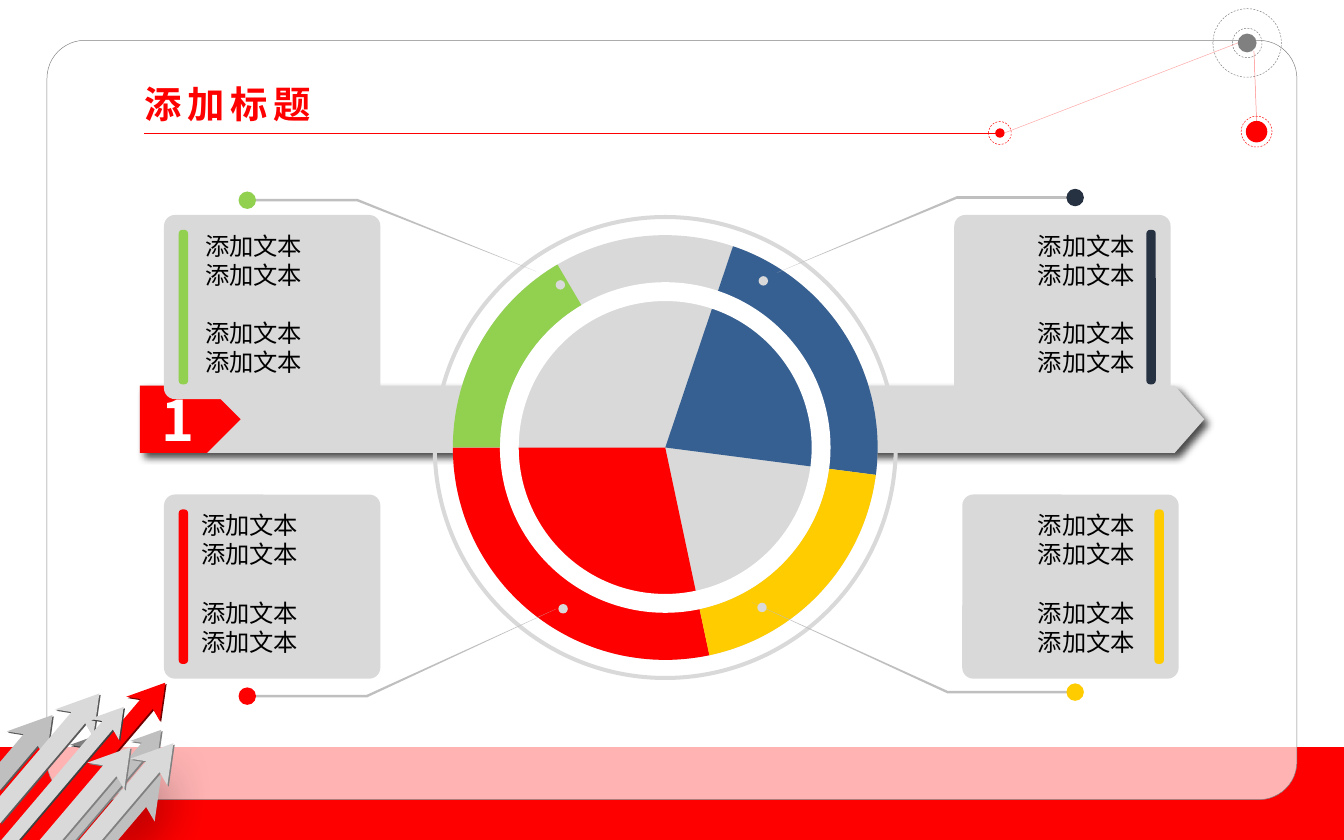
from dataclasses import dataclass
from math import cos, radians, sin

from lxml.etree import SubElement
from pptx import Presentation
from pptx.dml.color import RGBColor
from pptx.enum.dml import MSO_LINE
from pptx.enum.shapes import MSO_CONNECTOR, MSO_SHAPE
from pptx.enum.text import MSO_ANCHOR, PP_ALIGN
from pptx.oxml.ns import qn
from pptx.util import Inches, Pt


@dataclass(frozen=True)
class Theme:
    """Colours, font and type sizes of the slide."""
    red: str = "FF0000"
    dark_red: str = "700000"
    green: str = "92D050"
    blue: str = "376092"
    navy: str = "263142"
    yellow: str = "FFCC00"
    white: str = "FFFFFF"
    black: str = "000000"
    pale: str = "D9D9D9"
    silver: str = "BFBFBF"
    gray: str = "808080"
    slate: str = "595959"
    charcoal: str = "404040"
    font: str = "Noto Sans CJK SC"
    title_size: int = 20
    number_size: int = 30
    body_size: int = 13
    body_pitch: float = 15.6


THEME = Theme()
WHEEL_CENTER = (4.95, 3.33)
WHEEL_RADIUS, HUB_RADIUS = 1.58, 1.23


def set_alpha(element, percent):
    """Set the opacity of the colour found inside an element."""
    color = next(element.iter(qn("a:srgbClr")))
    SubElement(color, qn("a:alpha"), val=str(percent * 1000))


def style_line(line, color, dashed=False):
    """Make a line a hairline of the given colour."""
    line.color.rgb = RGBColor.from_string(color)
    line.width = Pt(0.25)
    if dashed:
        line.dash_style = MSO_LINE.DASH


def paint(shape, fill=None, line=None, dashed=False):
    """Give a shape its fill and outline, without a shadow."""
    shape.shadow.inherit = False
    if fill:
        shape.fill.solid()
        shape.fill.fore_color.rgb = RGBColor.from_string(fill)
    else:
        shape.fill.background()
    if line:
        style_line(shape.line, line, dashed)
    else:
        shape.line.fill.background()
    return shape


def add_preset(slide, kind, box, fill=None, adjust=None, **outline):
    """Add a preset shape in a (left, top, width, height) box."""
    shape = slide.shapes.add_shape(kind, *map(Inches, box))
    if adjust is not None:
        shape.adjustments[0] = adjust
    return paint(shape, fill, **outline)


def add_circle(slide, center, diameter, fill=None, **outline):
    """Add a circle around a centre point."""
    x, y = center
    box = (x - diameter / 2, y - diameter / 2, diameter, diameter)
    return add_preset(slide, MSO_SHAPE.OVAL, box, fill, **outline)


def add_ring(slide, radius, thickness, color):
    """Add a ring around the centre of the wheel."""
    x, y = WHEEL_CENTER
    box = (x - radius, y - radius, 2 * radius, 2 * radius)
    add_preset(slide, MSO_SHAPE.DONUT, box, color, thickness / (2 * radius))


def add_polygon(slide, points, fill):
    """Add a filled closed outline."""
    corners = [(Inches(x), Inches(y)) for x, y in points]
    builder = slide.shapes.build_freeform(*corners[0], scale=1.0)
    builder.add_line_segments(corners[1:], close=True)
    return paint(builder.convert_to_shape(), fill)


def add_sector(slide, start, end, color, inner=0):
    """Add a slice of the wheel between two angles, clockwise from the right."""
    x, y = WHEEL_CENTER
    steps = 60
    angles = [radians(start + (end - start) * i / steps) for i in range(steps + 1)]
    points = [(x + WHEEL_RADIUS * cos(a), y + WHEEL_RADIUS * sin(a)) for a in angles]
    if inner:
        points += [(x + inner * cos(a), y + inner * sin(a)) for a in reversed(angles)]
    else:
        points.append((x, y))
    add_polygon(slide, points, color)


def add_shadow(shape, opacity, blur, distance, angle):
    """Add a black outer shadow to a shape."""
    effects = shape._element.spPr.find(qn("a:effectLst"))
    shadow = SubElement(effects, qn("a:outerShdw"), blurRad=str(Pt(blur)),
                        dist=str(Pt(distance)), dir=str(angle * 60000), rotWithShape="0")
    SubElement(shadow, qn("a:srgbClr"), val=THEME.black)
    set_alpha(shadow, opacity)


def add_line(slide, start, end, color, opacity=100):
    """Add a hairline between two points."""
    ends = map(Inches, (*start, *end))
    connector = slide.shapes.add_connector(MSO_CONNECTOR.STRAIGHT, *ends)
    style_line(connector.line, color)
    set_alpha(connector._element.spPr, opacity)
    SubElement(connector._element.spPr, qn("a:effectLst"))


def add_text(slide, box, lines, size, color, bold=False, align=PP_ALIGN.LEFT,
             anchor=MSO_ANCHOR.MIDDLE, wrap=True):
    """Add a text box and return its paragraphs."""
    frame = slide.shapes.add_textbox(*map(Inches, box)).text_frame
    frame.word_wrap = wrap
    frame.vertical_anchor = anchor
    frame.text = "\n".join(lines)
    for paragraph in frame.paragraphs:
        paragraph.alignment = align
        font = paragraph.font
        font.name, font.size, font.bold = THEME.font, Pt(size), bold
        font.color.rgb = RGBColor.from_string(color)
        for run in paragraph.runs:
            SubElement(run._r.get_or_add_rPr(), qn("a:ea"), typeface=THEME.font)
    return frame.paragraphs


def add_arrow(slide, tip, size, color, edge=None):
    """Add a rising arrow that runs to the slide edge, with a dark edge or a soft shadow."""
    x, y = tip
    left_wing, left_neck, right_neck, right_wing = [
        (x + size * dx, y + size * dy)
        for dx, dy in [(-1, 0.36), (-0.63, 0.42), (-0.32, 0.67), (-0.14, 0.98)]]
    slope = 0.85
    tails = []
    for neck_x, neck_y in (left_neck, right_neck):
        run = min(6.28 - neck_y, neck_x / slope)
        tails.append((neck_x - run * slope, neck_y + run))
    outline = [tip, left_wing, left_neck, *tails, right_neck, right_wing]
    if edge:
        add_polygon(slide, [(px + 0.01, py + 0.01) for px, py in outline], edge)
    arrow = add_polygon(slide, outline, color)
    if not edge:
        add_shadow(arrow, 66, 30, 3, 90)


def add_card(slide, left, top, text_left, color, align):
    """Add a text card with a coloured bar on its aligned side."""
    bar_left = left + (0.11 if align == PP_ALIGN.LEFT else 1.43)
    add_preset(slide, MSO_SHAPE.ROUNDED_RECTANGLE, (left, top, 1.61, 1.37), THEME.pale, 0.06)
    add_preset(slide, MSO_SHAPE.ROUNDED_RECTANGLE, (bar_left, top + 0.11, 0.07, 1.15), color, 0.4)
    paragraphs = add_text(slide, (text_left, top + 0.07, 1.22, 1.23), ["添加文本"] * 4,
                          THEME.body_size, THEME.black, align=align, anchor=MSO_ANCHOR.TOP)
    for paragraph in paragraphs:
        paragraph.line_spacing = Pt(THEME.body_pitch)
    paragraphs[2].space_before = Pt(THEME.body_pitch)


def add_callout(slide, tip, elbow_x, dot, hole, color):
    """Add a tapering leader from the wheel to a coloured dot."""
    x, y = dot
    add_polygon(slide, [tip, (elbow_x, y - 0.01), (x, y - 0.01), (x, y + 0.01), (elbow_x, y + 0.01)],
                THEME.silver)
    add_circle(slide, dot, 0.13, color)
    add_circle(slide, hole, 0.07, THEME.pale)


def add_backdrop(slide):
    """Add the red band, the frame and the arrows."""
    add_preset(slide, MSO_SHAPE.RECTANGLE, (0, 5.56, 10.02, 0.72), THEME.red)
    frame = add_preset(slide, MSO_SHAPE.ROUNDED_RECTANGLE, (0.35, 0.3, 9.3, 5.65),
                       THEME.white, 0.05, line=THEME.gray)
    set_alpha(frame._element.spPr.find(qn("a:solidFill")), 70)
    arrows = [
        ((0.39, 5.32), 0.34, THEME.silver, THEME.slate),
        ((0.75, 5.46), 0.23, THEME.gray, THEME.charcoal),
        ((1.2, 5.77), 0.35, THEME.silver),
        ((0.74, 5.16), 0.33, THEME.pale, THEME.slate),
        ((1.2, 5.43), 0.23, THEME.silver, THEME.gray),
        ((1.23, 5.08), 0.29, THEME.red, THEME.dark_red),
        ((1.29, 5.53), 0.32, THEME.pale, THEME.gray),
        ((0.97, 5.56), 0.32, THEME.pale, THEME.gray),
        ((0.92, 5.26), 0.25, THEME.pale, THEME.charcoal)]
    for arrow in arrows:
        add_arrow(slide, *arrow)


def add_header(slide):
    """Add the title with its rule and linked nodes."""
    nodes = [((9.35, 0.98), 0.16, [0.23], THEME.red),
             ((9.28, 0.32), 0.14, [0.22, 0.51], THEME.gray),
             ((7.44, 0.99), 0.07, [0.17], THEME.red)]
    for center, diameter, halos, color in nodes:
        add_circle(slide, center, diameter, color)
        for halo in halos:
            add_circle(slide, center, halo, line=color, dashed=True)
    add_line(slide, (1.07, 0.99), (7.46, 0.99), THEME.red)
    add_line(slide, (9.35, 0.91), (9.33, 0.38), THEME.red, 50)
    add_line(slide, (7.42, 1.01), (9.21, 0.32), THEME.red, 35)
    title, = add_text(slide, (0.98, 0.55, 1.66, 0.44), ["添加标题"],
                      THEME.title_size, THEME.red, bold=True)
    title.runs[0].font._element.set("spc", "300")


def add_banner(slide):
    """Add the long arrow banner with its number tag."""
    banner = add_preset(slide, MSO_SHAPE.PENTAGON, (1.04, 2.87, 7.92, 0.5), THEME.pale, 0.44)
    add_shadow(banner, 71, 4, 3, 45)
    add_preset(slide, MSO_SHAPE.PENTAGON, (1.04, 2.87, 0.75, 0.5), THEME.red, 0.5)
    add_text(slide, (1.1, 2.82, 0.46, 0.6), ["1"], THEME.number_size, THEME.white, bold=True, wrap=False)


def add_wheel(slide):
    """Add the two-level wheel with its rings."""
    add_circle(slide, WHEEL_CENTER, 2 * WHEEL_RADIUS, THEME.pale)
    add_sector(slide, -71.4, 7.4, THEME.blue)
    add_sector(slide, 78, 180, THEME.red)
    add_ring(slide, HUB_RADIUS, 0.14, THEME.white)
    add_ring(slide, 1.73, 0.03, THEME.pale)
    add_sector(slide, 180, 239.5, THEME.green, HUB_RADIUS)
    add_sector(slide, 7.4, 78, THEME.yellow, HUB_RADIUS)


def main():
    """Build and save the slide."""
    presentation = Presentation()
    presentation.slide_width, presentation.slide_height = Inches(10), Inches(6.25)
    slide = presentation.slides.add_slide(presentation.slide_layouts[6])
    for add_part in (add_backdrop, add_header, add_banner, add_wheel):
        add_part(slide)
    callouts = [
        ((3.99, 2.02), 2.66, (1.84, 1.49), (4.17, 2.12), THEME.green),
        ((5.78, 2.03), 7.12, (8, 1.47), (5.68, 2.09), THEME.navy),
        ((5.59, 4.48), 7.05, (8, 5.15), (5.67, 4.52), THEME.yellow),
        ((4.14, 4.53), 2.73, (1.84, 5.18), (4.19, 4.53), THEME.red)]
    for callout in callouts:
        add_callout(slide, *callout)
    cards = [
        (1.22, 1.6, 1.43, THEME.green, PP_ALIGN.LEFT),
        (7.1, 1.6, 7.32, THEME.navy, PP_ALIGN.RIGHT),
        (7.16, 3.68, 7.32, THEME.yellow, PP_ALIGN.RIGHT),
        (1.22, 3.68, 1.4, THEME.red, PP_ALIGN.LEFT)]
    for card in cards:
        add_card(slide, *card)
    presentation.save("out.pptx")


main()
